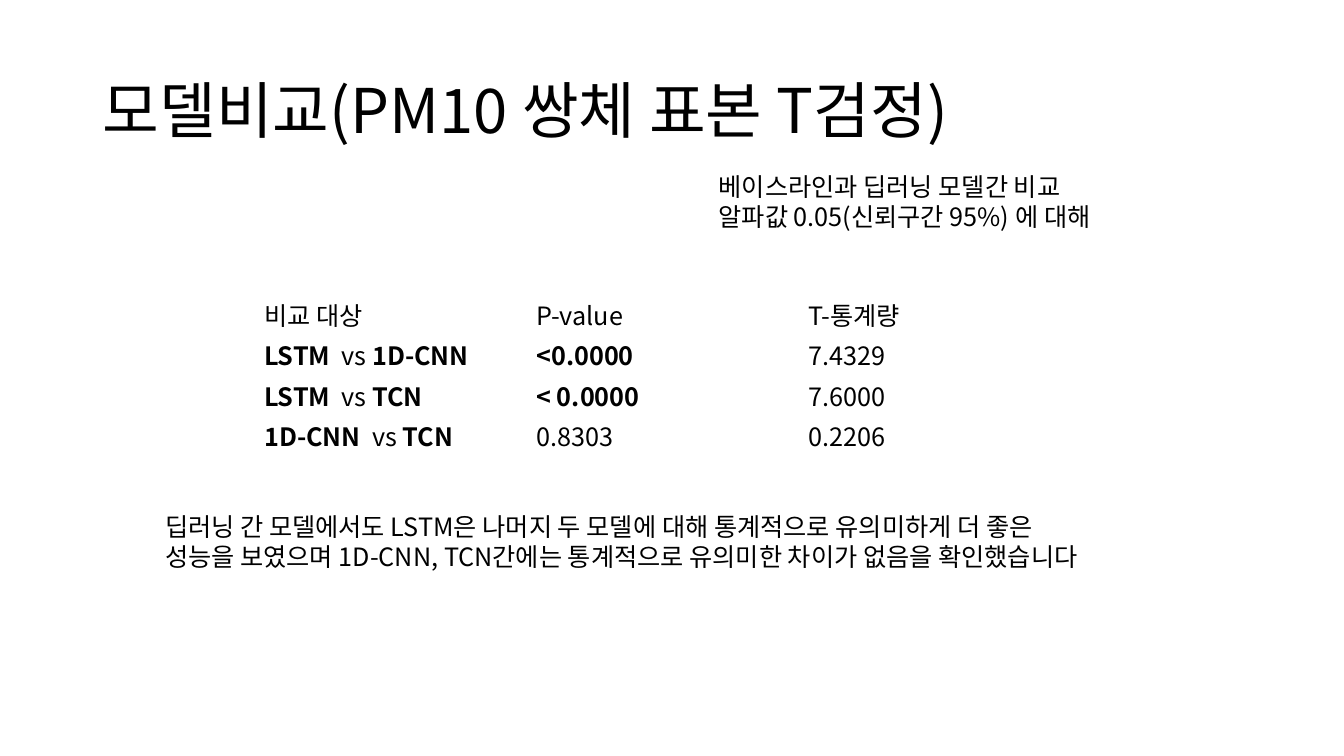
from dataclasses import dataclass

from pptx import Presentation
from pptx.dml.color import RGBColor
from pptx.enum.text import MSO_ANCHOR, PP_ALIGN
from pptx.oxml.ns import qn
from pptx.slide import Slide
from pptx.table import _Cell as Cell
from pptx.text.text import _Run as Run
from pptx.util import Inches, Pt


@dataclass(frozen=True)
class Theme:
    font: str = "Noto Sans CJK KR"
    ink: RGBColor = RGBColor(0, 0, 0)
    title_size: int = 44
    body_size: int = 18


@dataclass(frozen=True)
class Note:
    left: float
    top: float
    width: float
    height: float
    text: str


@dataclass(frozen=True)
class Comparison:
    first: str
    second: str
    p_value: str
    t_statistic: str
    significant: bool


THEME = Theme()
TITLE = "모델비교(PM10 쌍체 표본 T검정)"
NOTES = [
    Note(7.03, 1.65, 5, 0.71,
         "베이스라인과 딥러닝 모델간 비교\n알파값 0.05(신뢰구간 95%) 에 대해"),
    Note(1.54, 5.02, 10.37, 0.71,
         "딥러닝 간 모델에서도 LSTM은 나머지 두 모델에 대해 통계적으로 유의미하게 더 좋은 \v"
         "성능을 보였으며 1D-CNN, TCN간에는 통계적으로 유의미한 차이가 없음을 확인했습니다"),
]
HEADERS = ["비교 대상", "P-value", "T-통계량"]
COMPARISONS = [
    Comparison("LSTM", "1D-CNN", "<0.0000", "7.4329", True),
    Comparison("LSTM", "TCN", "< 0.0000", "7.6000", True),
    Comparison("1D-CNN", "TCN", "0.8303", "0.2206", False),
]
COLUMN_WIDTH, ROW_HEIGHT = 2.7, 0.4


def format_run(run: Run, size: int, bold: bool = False) -> None:
    font = run.font
    font.name, font.size, font.bold = THEME.font, Pt(size), bold
    font.color.rgb = THEME.ink
    # Korean glyphs take the East Asian typeface
    properties = run._r.get_or_add_rPr()
    east_asian = properties.makeelement(qn("a:ea"), {"typeface": THEME.font})
    properties.find(qn("a:latin")).addnext(east_asian)


def add_title(slide: Slide) -> None:
    title = slide.shapes.title
    title.left, title.top = Inches(0.92), Inches(0.4)
    title.width, title.height = Inches(11.5), Inches(1.45)
    title.text_frame.text = TITLE
    title.text_frame.vertical_anchor = MSO_ANCHOR.MIDDLE
    paragraph = title.text_frame.paragraphs[0]
    paragraph.alignment = PP_ALIGN.LEFT
    paragraph.line_spacing = 0.9
    format_run(paragraph.runs[0], THEME.title_size)


def add_note(slide: Slide, note: Note) -> None:
    box = slide.shapes.add_textbox(
        Inches(note.left), Inches(note.top), Inches(note.width), Inches(note.height))
    text_frame = box.text_frame
    text_frame.word_wrap = True
    text_frame.text = note.text
    for paragraph in text_frame.paragraphs:
        for run in paragraph.runs:
            format_run(run, THEME.body_size)


def fill_cell(cell: Cell, parts: list[tuple[str, bool]]) -> None:
    cell.fill.background()
    cell.vertical_anchor = MSO_ANCHOR.MIDDLE
    paragraph = cell.text_frame.paragraphs[0]
    for text, bold in parts:
        run = paragraph.add_run()
        run.text = text
        format_run(run, THEME.body_size, bold)


def add_comparison_table(slide: Slide) -> None:
    rows = [[[(header, False)] for header in HEADERS]]
    for item in COMPARISONS:
        rows.append([
            [(f"{item.first} ", True), (" vs ", False), (item.second, True)],
            [(item.p_value, item.significant)],
            [(item.t_statistic, False)],
        ])
    table = slide.shapes.add_table(
        len(rows), len(HEADERS), Inches(2.52), Inches(2.89),
        Inches(COLUMN_WIDTH * len(HEADERS)), Inches(ROW_HEIGHT * len(rows))).table
    table.first_row = table.horz_banding = False
    for row_index, row in enumerate(rows):
        for column_index, parts in enumerate(row):
            fill_cell(table.cell(row_index, column_index), parts)


def main() -> None:
    presentation = Presentation()
    presentation.slide_width = Inches(13.33)
    presentation.slide_height = Inches(7.5)
    slide = presentation.slides.add_slide(presentation.slide_layouts.get_by_name("Title Only"))

    # Heading and explanations
    add_title(slide)
    for note in NOTES:
        add_note(slide, note)

    # Paired t-test results
    add_comparison_table(slide)
    presentation.save("out.pptx")


if __name__ == "__main__":
    main()
